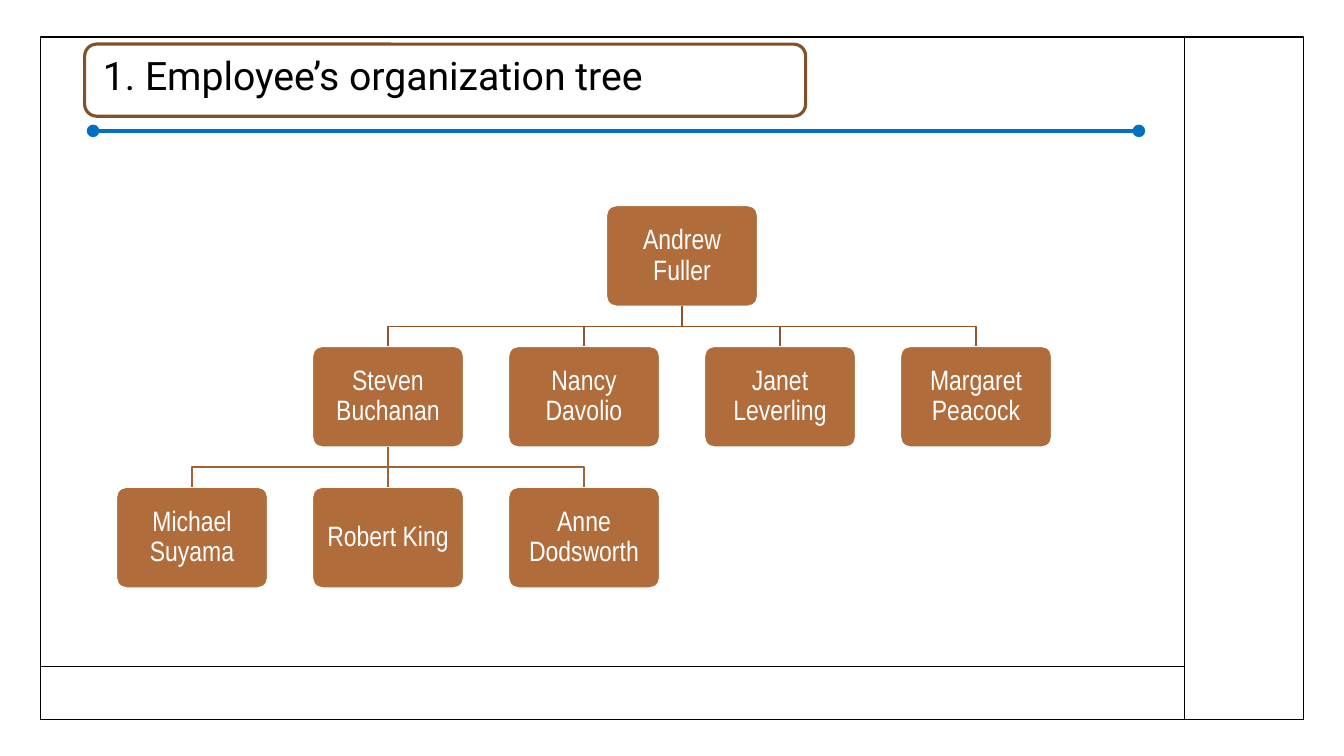
from lxml import etree
from pptx import Presentation
from pptx.dml.color import RGBColor
from pptx.enum.shapes import MSO_CONNECTOR, MSO_SHAPE
from pptx.enum.text import MSO_ANCHOR, PP_ALIGN
from pptx.oxml.ns import qn
from pptx.util import Pt

STRAIGHT = MSO_CONNECTOR.STRAIGHT
RECT, ROUNDED = MSO_SHAPE.RECTANGLE, MSO_SHAPE.ROUNDED_RECTANGLE
MIDDLE = MSO_ANCHOR.MIDDLE
LEFT, CENTER = PP_ALIGN.LEFT, PP_ALIGN.CENTER
BOTTOM_SITE, TOP_SITE = 2, 0

COLORS = {
    "black": "000000", "white": "FFFFFF", "blue": "0070C0",
    "title_frame": "83502C", "employee": "B16C3B",
    "upper_branch": "8E562F", "lower_branch": "A16236",
}

prs = Presentation()
prs.slide_width, prs.slide_height = Pt(960), Pt(540)
slide = prs.slides.add_slide(prs.slide_layouts[6])
shapes = slide.shapes


def add_block(text, left, top, width, height, *, shape=None, fill=None, line=None,
              line_width=1, size=20, font="Arial Narrow", color="white",
              align=CENTER, inset=(6, 6)):
    """Add a preset shape, or a text box when shape is None, with formatted text."""
    place = Pt(left), Pt(top), Pt(width), Pt(height)
    if shape is None:
        block = shapes.add_textbox(*place)
    else:
        block = shapes.add_shape(shape, *place)
        block.shadow.inherit = False
        block.line.color.rgb = RGBColor.from_string(COLORS[line])
        block.line.width = Pt(line_width)
        if fill:
            block.fill.solid()
            block.fill.fore_color.rgb = RGBColor.from_string(COLORS[fill])
        else:
            block.fill.background()
    if text:
        frame = block.text_frame
        frame.word_wrap = True
        frame.vertical_anchor = MIDDLE
        frame.margin_left = frame.margin_right = Pt(inset[0])
        frame.margin_top = frame.margin_bottom = Pt(inset[1])
        paragraph = frame.paragraphs[0]
        paragraph.alignment = align
        paragraph.line_spacing = 0.9
        run = paragraph.add_run()
        run.text = text
        run.font.size = Pt(size)
        run.font.name = font
        run.font.color.rgb = RGBColor.from_string(COLORS[color])
    return block


def add_rule(x1, y1, x2, y2, color, width=1):
    rule = shapes.add_connector(STRAIGHT, Pt(x1), Pt(y1), Pt(x2), Pt(y2))
    rule.line.color.rgb = RGBColor.from_string(COLORS[color])
    rule.line.width = Pt(width)
    etree.SubElement(rule._element.spPr, qn("a:effectLst"))
    return rule


# Page frame
add_block("", 29, 26.5, 902, 487.5, shape=RECT, line="black")
add_rule(846, 26.5, 846, 513.5, "black")
add_rule(29.5, 476, 846, 476, "black")

# Title
add_block("1. Employee’s organization tree", 66.5, 31.5, 521, 48.5,
          size=28, font="Roboto", color="black", align=LEFT, inset=(7.2, 3.6))
title_rule = add_rule(66.5, 93.5, 813.5, 93.5, "blue", 3)
for end in ("a:headEnd", "a:tailEnd"):
    etree.SubElement(title_rule.line._get_or_add_ln(), qn(end), type="oval")
add_block("", 60.5, 31.5, 515, 51.5, shape=ROUNDED, line="title_frame", line_width=2.25)

# Employees: name -> (column, level)
EMPLOYEES = {
    "Andrew Fuller": (2.5, 0),
    "Steven Buchanan": (1, 1),
    "Nancy Davolio": (2, 1),
    "Janet Leverling": (3, 1),
    "Margaret Peacock": (4, 1),
    "Michael Suyama": (0, 2),
    "Robert King": (1, 2),
    "Anne Dodsworth": (2, 2),
}
BOX_WIDTH, BOX_HEIGHT = 108, 72
FIRST_LEFT, FIRST_TOP = 83.2, 146.8
COLUMN_STEP, LEVEL_STEP = 140, 100.6

boxes = {}
for name, (column, level) in EMPLOYEES.items():
    box = add_block(name, FIRST_LEFT + column * COLUMN_STEP, FIRST_TOP + level * LEVEL_STEP,
                    BOX_WIDTH, BOX_HEIGHT, shape=ROUNDED, fill="employee", line="white")
    box.adjustments[0] = 0.1
    boxes[name] = box

# Reporting lines: manager -> (line colour, reports)
REPORTS = {
    "Andrew Fuller": ("upper_branch", ["Steven Buchanan", "Nancy Davolio",
                                       "Janet Leverling", "Margaret Peacock"]),
    "Steven Buchanan": ("lower_branch", ["Michael Suyama", "Robert King", "Anne Dodsworth"]),
}
for manager, (color, reports) in REPORTS.items():
    above = boxes[manager]
    start_x, start_y = above.left + above.width // 2, above.top + above.height
    for report in reports:
        below = boxes[report]
        end_x, end_y = below.left + below.width // 2, below.top
        if end_x == start_x:
            branch = add_rule(0, 0, 0, 0, color)
            branch.begin_connect(above, BOTTOM_SITE)
            branch.end_connect(below, TOP_SITE)
            continue
        middle_y = (start_y + end_y) // 2
        builder = shapes.build_freeform(start_x, start_y)
        builder.add_line_segments([(start_x, middle_y), (end_x, middle_y), (end_x, end_y)],
                                  close=False)
        branch = builder.convert_to_shape()
        branch.shadow.inherit = False
        branch.fill.background()
        branch.line.color.rgb = RGBColor.from_string(COLORS[color])
        branch.line.width = Pt(1)

prs.save("out.pptx")
